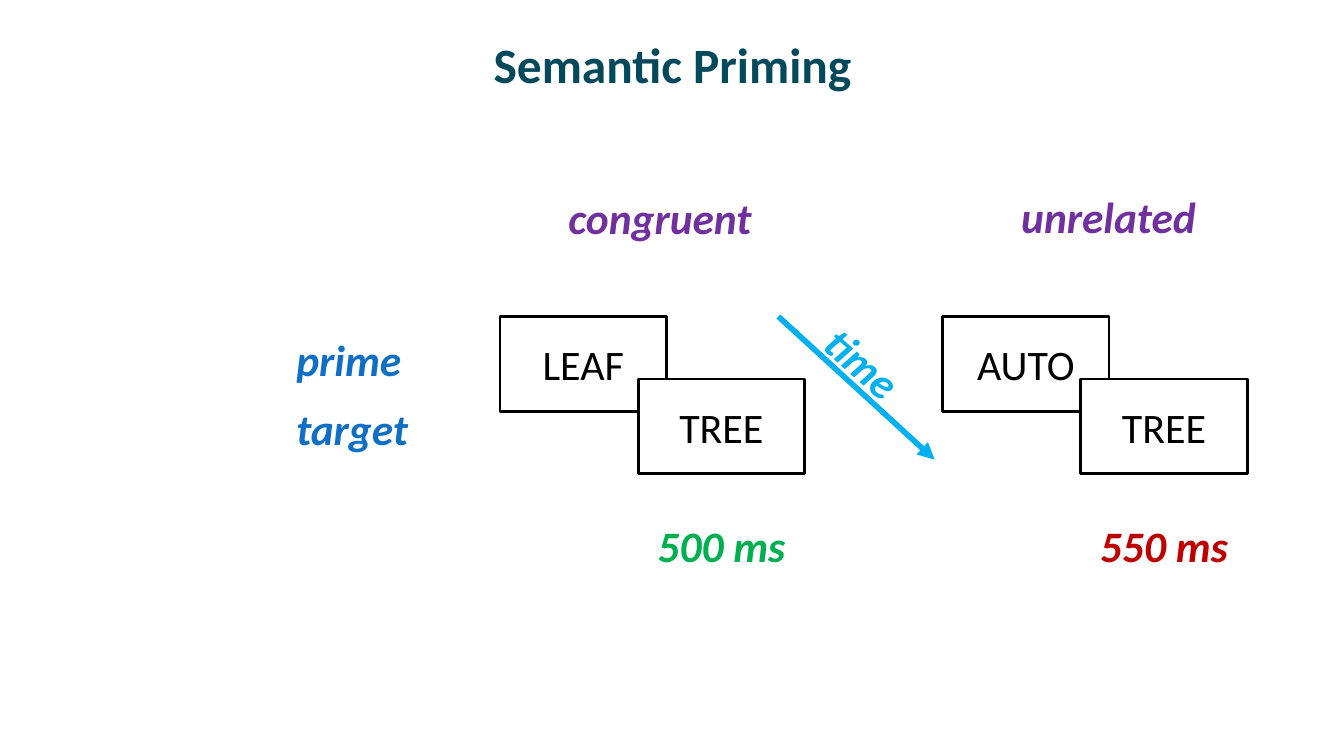
from lxml import etree
from pptx import Presentation
from pptx.dml.color import RGBColor
from pptx.enum.shapes import MSO_CONNECTOR, MSO_SHAPE
from pptx.enum.text import MSO_ANCHOR, MSO_AUTO_SIZE, PP_ALIGN
from pptx.oxml.ns import qn
from pptx.util import Inches, Pt

STRAIGHT, RECTANGLE = MSO_CONNECTOR.STRAIGHT, MSO_SHAPE.RECTANGLE
LEFT, CENTER = PP_ALIGN.LEFT, PP_ALIGN.CENTER
TOP, MIDDLE = MSO_ANCHOR.TOP, MSO_ANCHOR.MIDDLE
GROW = MSO_AUTO_SIZE.SHAPE_TO_FIT_TEXT

BLACK = RGBColor(0x00, 0x00, 0x00)
WHITE = RGBColor(0xFF, 0xFF, 0xFF)
TEAL = RGBColor(0x03, 0x49, 0x5C)
PURPLE = RGBColor(0x70, 0x30, 0xA0)
BLUE = RGBColor(0x0F, 0x6F, 0xC6)
SKY = RGBColor(0x00, 0xB0, 0xF0)
GREEN = RGBColor(0x00, 0xB0, 0x50)
RED = RGBColor(0xC0, 0x00, 0x00)

TITLE = "Semantic Priming"
# left edge, prime, target, response time, time colour
CONDITIONS = [
    (4.96, "LEAF", "TREE", "500 ms", GREEN),
    (9.35, "AUTO", "TREE", "550 ms", RED),
]
# text, left, top, width, colour, rotation
LABELS = [
    ("congruent", 5.54, 1.85, 2.04, PURPLE, 0),
    ("unrelated", 10.03, 1.84, 1.96, PURPLE, 0),
    ("prime", 2.84, 3.26, 1.25, BLUE, 0),
    ("target", 2.84, 3.94, 1.32, BLUE, 0),
    ("time", 8.06, 3.29, 1.02, SKY, 41.2),
]
TIME_ARROW = (7.72, 3.14, 9.27, 4.56)

CARD_WIDTH, CARD_HEIGHT, CARD_TOP = 1.65, 0.94, 3.14
TARGET_SHIFT_X, TARGET_SHIFT_Y = 1.37, 0.62
LABEL_HEIGHT, RESPONSE_TOP = 0.62, 5.1

CARD_FONT = {"size": Pt(30), "bold": False, "italic": False}
LABEL_FONT = {"size": Pt(31), "bold": True, "italic": True}
TITLE_FONT = {"size": Pt(35.3), "bold": True, "italic": False}


def write(shape, text, color, font_format, alignment, anchor, wrap=True):
    frame = shape.text_frame
    frame.word_wrap = wrap
    frame.vertical_anchor = anchor
    paragraph = frame.paragraphs[0]
    paragraph.alignment = alignment
    run = paragraph.add_run()
    run.text = text
    run.font.name = "Calibri"
    run.font.color.rgb = color
    for name, value in font_format.items():
        setattr(run.font, name, value)


def add_card(slide, text, left, top):
    card = slide.shapes.add_shape(
        RECTANGLE, *map(Inches, (left, top, CARD_WIDTH, CARD_HEIGHT)))
    card.shadow.inherit = False
    card.fill.solid()
    card.fill.fore_color.rgb = WHITE
    card.line.color.rgb = BLACK
    card.line.width = Pt(2)
    write(card, text, BLACK, CARD_FONT, CENTER, MIDDLE)


def add_label(slide, text, left, top, width, color, rotation=0,
              alignment=LEFT, wrap=False):
    label = slide.shapes.add_textbox(
        *map(Inches, (left, top, width, LABEL_HEIGHT)))
    label.rotation = rotation
    write(label, text, color, LABEL_FONT, alignment, TOP, wrap)
    label.text_frame.auto_size = GROW


def add_arrow(slide, ends, color):
    arrow = slide.shapes.add_connector(STRAIGHT, *map(Inches, ends))
    arrow.line.color.rgb = color
    arrow.line.width = Pt(4)
    etree.SubElement(arrow.line._get_or_add_ln(), qn("a:tailEnd"), type="triangle")
    etree.SubElement(arrow._element.spPr, qn("a:effectLst"))


def main():
    presentation = Presentation()
    presentation.slide_width = Inches(13.33)
    presentation.slide_height = Inches(7.5)
    slide = presentation.slides.add_slide(presentation.slide_layouts[6])

    title = slide.shapes.add_textbox(*map(Inches, (0.67, 0.17, 12, 0.92)))
    write(title, TITLE, TEAL, TITLE_FONT, CENTER, MIDDLE)

    for left, prime, target, response, color in CONDITIONS:
        target_left = left + TARGET_SHIFT_X
        add_card(slide, prime, left, CARD_TOP)
        add_card(slide, target, target_left, CARD_TOP + TARGET_SHIFT_Y)
        add_label(slide, response, target_left, RESPONSE_TOP, CARD_WIDTH,
                  color, alignment=CENTER, wrap=True)

    add_arrow(slide, TIME_ARROW, SKY)
    for label in LABELS:
        add_label(slide, *label)

    presentation.save("out.pptx")


if __name__ == "__main__":
    main()
